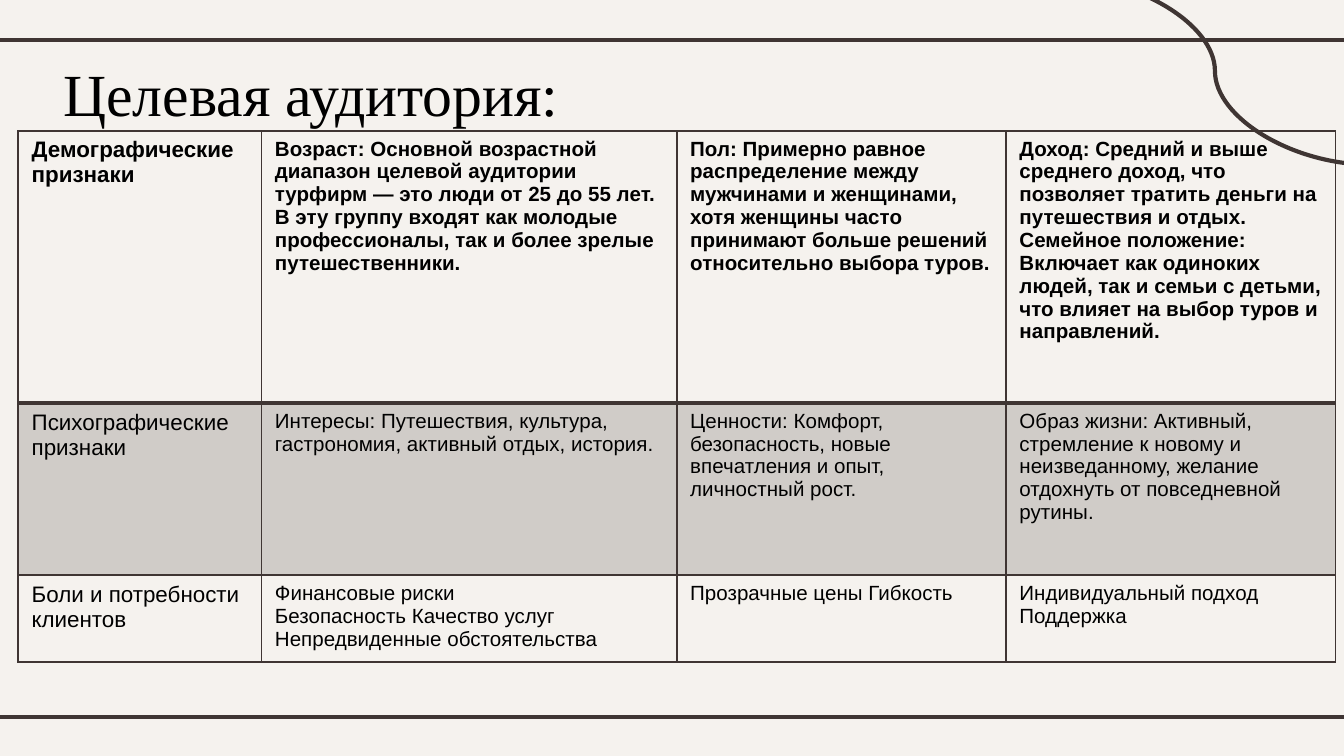
from dataclasses import dataclass

from lxml import etree
from pptx import Presentation
from pptx.dml.color import RGBColor
from pptx.enum import shapes, text
from pptx.oxml.ns import qn
from pptx.util import Inches, Pt

INK, PAPER, BLACK = "3F3533", "F5F2EE", "000000"
WIDTH = Inches(10)
HEIGHT = WIDTH * 9 // 16


@dataclass
class Stroke:
    """A decorative line; its ends are percentages of the slide's size."""
    kind: shapes.MSO_CONNECTOR
    start: tuple[float, float]
    end: tuple[float, float]


@dataclass
class Row:
    """A table row; its height is a percentage of the slide's height."""
    height: float
    cells: list[str]
    bold: bool = False
    shaded: bool = False
    top: float = 1
    bottom: float = 1


STROKES = [
    Stroke(shapes.MSO_CONNECTOR.STRAIGHT, (-0.8, 5.3), (100.8, 5.3)),
    Stroke(shapes.MSO_CONNECTOR.STRAIGHT, (-0.8, 94.8), (100.8, 94.8)),
    Stroke(shapes.MSO_CONNECTOR.CURVE, (78.8, -3), (102, 21.8)),
]

COLUMNS = [18.1, 30.9, 24.5, 24.5]
ROWS = [
    Row(36, [
        "Демографические\nпризнаки",
        "Возраст: Основной возрастной диапазон целевой аудитории турфирм — это люди "
        "от 25 до 55 лет. В эту группу входят как молодые профессионалы, так и более "
        "зрелые путешественники.",
        "Пол: Примерно равное распределение между мужчинами и женщинами, хотя женщины "
        "часто принимают больше решений относительно выбора туров.",
        "Доход: Средний и выше среднего доход, что позволяет тратить деньги на "
        "путешествия и отдых.\nСемейное положение: Включает как одиноких людей, так и "
        "семьи с детьми, что влияет на выбор туров и направлений.",
    ], bold=True, bottom=2),
    Row(22.8, [
        "Психографические признаки",
        "Интересы: Путешествия, культура, гастрономия, активный отдых, история.",
        "Ценности: Комфорт, безопасность, новые впечатления и опыт, личностный рост.",
        "Образ жизни: Активный, стремление к новому и неизведанному, желание "
        "отдохнуть от повседневной рутины.",
    ], shaded=True, top=2),
    Row(11.5, [
        "Боли и потребности клиентов",
        "Финансовые риски\nБезопасность Качество услуг Непредвиденные обстоятельства",
        "Прозрачные цены Гибкость",
        "Индивидуальный подход\nПоддержка",
    ]),
]


def across(percent: float) -> int:
    return round(WIDTH * percent / 100)


def down(percent: float) -> int:
    return round(HEIGHT * percent / 100)


def color(value: str) -> RGBColor:
    return RGBColor.from_string(value)


def set_font(font, **values) -> None:
    for name, value in values.items():
        setattr(font, name, value)
    font.color.rgb = color(BLACK)


def draw_stroke(slide, stroke: Stroke) -> None:
    (x1, y1), (x2, y2) = stroke.start, stroke.end
    line = slide.shapes.add_connector(
        stroke.kind, across(x1), down(y1), across(x2), down(y2))
    line.line.color.rgb = color(INK)
    line.line.width = Pt(2.25)
    etree.SubElement(line._element.spPr, qn("a:effectLst"))


def draw_title(slide, wording: str) -> None:
    title = slide.shapes.title
    box = {"left": across(1.2), "top": down(6.6),
           "width": across(50), "height": down(20.3)}
    for name, value in box.items():
        setattr(title, name, value)
    frame = title.text_frame
    layout = {"word_wrap": True, "auto_size": text.MSO_AUTO_SIZE.NONE,
              "vertical_anchor": text.MSO_ANCHOR.TOP,
              "margin_left": Inches(0.1), "margin_top": Inches(0.05)}
    for name, value in layout.items():
        setattr(frame, name, value)
    frame.text = wording
    heading = frame.paragraphs[0]
    heading.alignment = text.PP_ALIGN.LEFT
    properties = heading._p.get_or_add_pPr()
    properties.set("marL", str(Inches(0.5)))
    properties.set("indent", str(-Inches(0.25)))
    set_font(heading.runs[0].font, size=Pt(32), name="Times New Roman")


def set_borders(cell, row: Row) -> None:
    properties = cell._tc.get_or_add_tcPr()
    sides = {"lnL": 1, "lnR": 1, "lnT": row.top, "lnB": row.bottom}
    for place, (side, width) in enumerate(sides.items()):
        border = etree.Element(qn(f"a:{side}"), w=str(Pt(width)))
        fill = etree.SubElement(border, qn("a:solidFill"))
        etree.SubElement(fill, qn("a:srgbClr"), val=INK)
        properties.insert(place, border)


def fill_cell(cell, wording: str, row: Row, size: float) -> None:
    cell.text = wording
    for paragraph in cell.text_frame.paragraphs:
        for run in paragraph.runs:
            set_font(run.font, size=Pt(size), name="Arial", bold=row.bold)
    if row.shaded:
        cell.fill.solid()
        cell.fill.fore_color.rgb = color(INK)
        tint = cell._tc.tcPr.find(f".//{qn('a:srgbClr')}")
        etree.SubElement(tint, qn("a:alpha"), val="20000")
    else:
        cell.fill.background()
    set_borders(cell, row)


def draw_table(slide, rows: list[Row]) -> None:
    audience = slide.shapes.add_table(
        len(rows), len(COLUMNS), across(1.36), down(17.3),
        across(sum(COLUMNS)), down(sum(row.height for row in rows))).table
    audience.first_row = audience.horz_banding = False
    for column, share in zip(audience.columns, COLUMNS):
        column.width = across(share)
    for r, row in enumerate(rows):
        audience.rows[r].height = down(row.height)
        for c, wording in enumerate(row.cells):
            fill_cell(audience.cell(r, c), wording, row, 11 if c else 12)


def main() -> None:
    deck = Presentation()
    deck.slide_width, deck.slide_height = WIDTH, HEIGHT
    slide = deck.slides.add_slide(deck.slide_layouts[5])  # title only
    slide.background.fill.solid()
    slide.background.fill.fore_color.rgb = color(PAPER)

    # Decorative lines, then the content
    for stroke in STROKES:
        draw_stroke(slide, stroke)
    draw_title(slide, "Целевая аудитория:")
    draw_table(slide, ROWS)
    deck.save("out.pptx")


if __name__ == "__main__":
    main()
